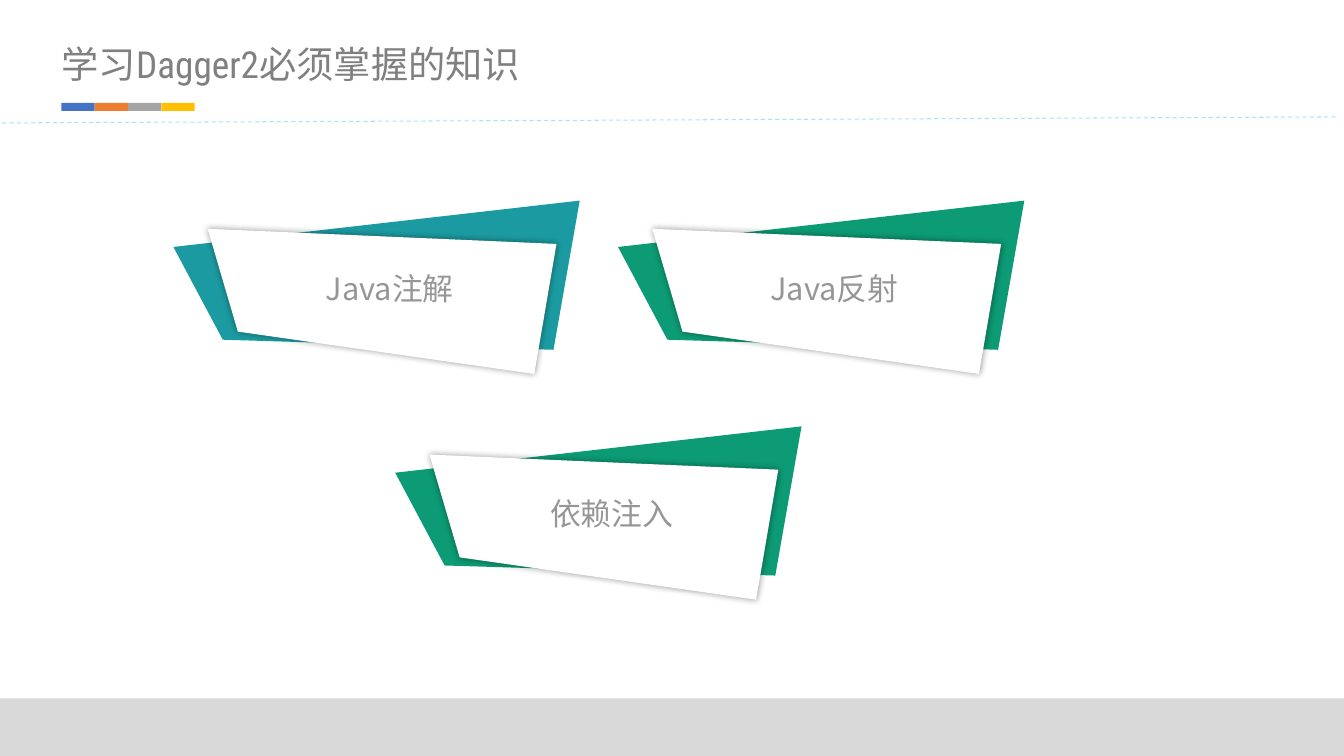
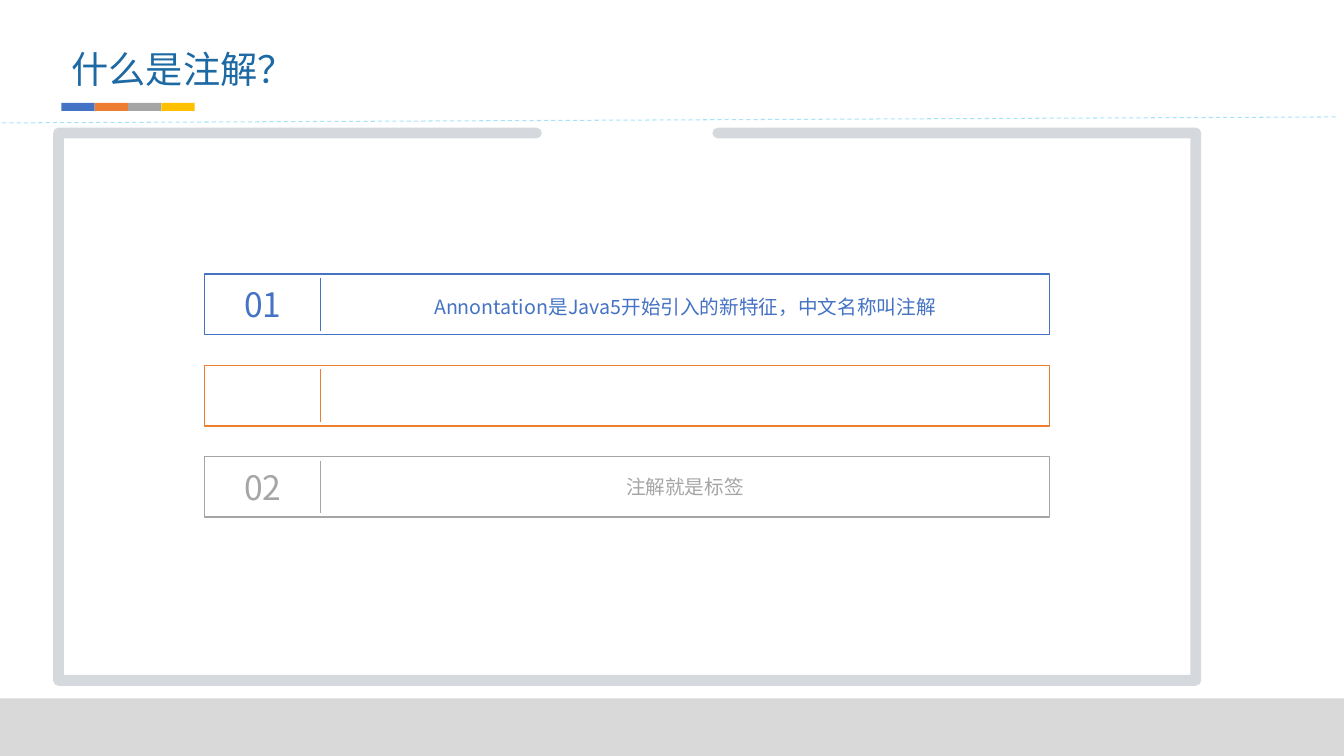
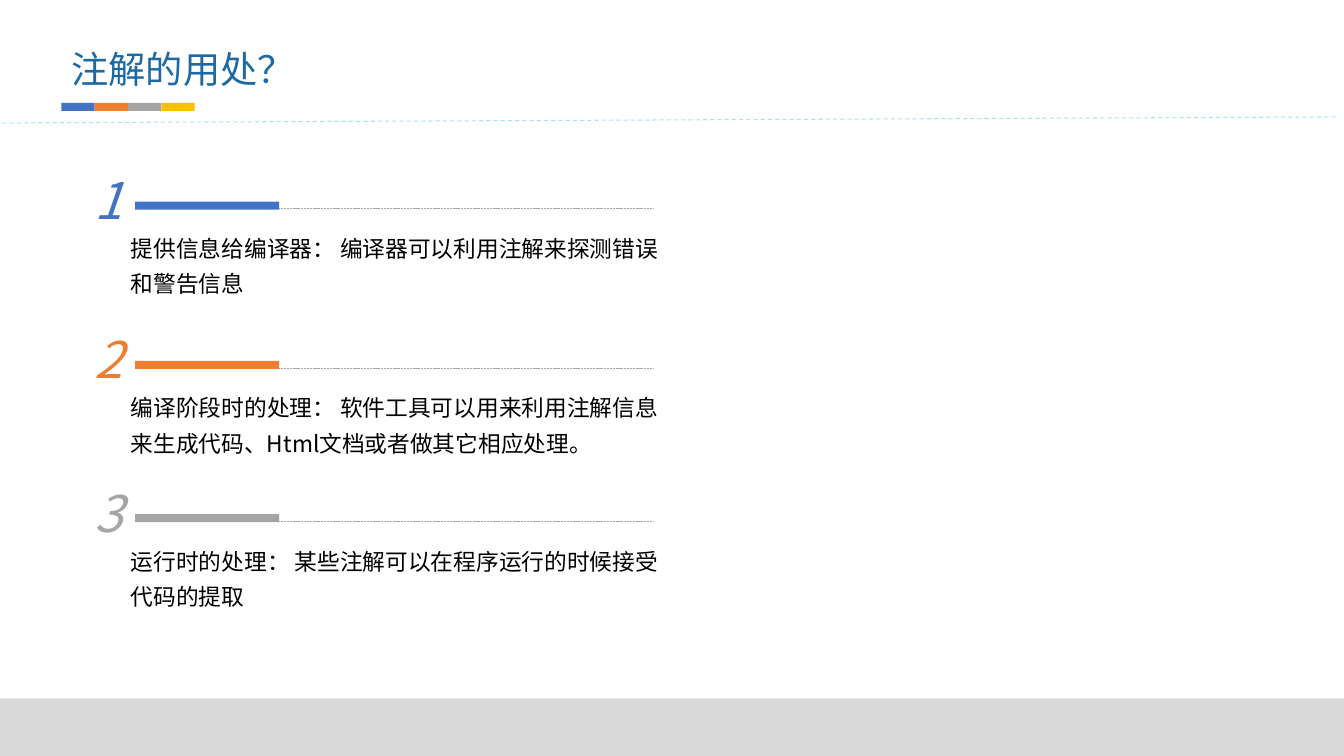
from dataclasses import dataclass

from pptx import Presentation
from pptx.dml.color import RGBColor
from pptx.enum.dml import MSO_LINE
from pptx.enum.shapes import MSO_CONNECTOR, MSO_SHAPE
from pptx.enum.text import MSO_ANCHOR, MSO_AUTO_SIZE, PP_ALIGN
from pptx.oxml.ns import qn
from pptx.util import Inches, Pt
from lxml import etree

STRAIGHT = MSO_CONNECTOR.STRAIGHT
RECTANGLE = MSO_SHAPE.RECTANGLE
DASH = MSO_LINE.DASH
FINE_DASH = MSO_LINE.SQUARE_DOT
MIDDLE = MSO_ANCHOR.MIDDLE
TOP = MSO_ANCHOR.TOP
CENTER = PP_ALIGN.CENTER
LEFT = PP_ALIGN.LEFT
GROW = MSO_AUTO_SIZE.SHAPE_TO_FIT_TEXT

CJK_FONT = "Noto Sans CJK SC"
TITLE_FONT = "Roboto Condensed"
BLUE, ORANGE, GRAY, YELLOW = "4472C4", "ED7D31", "A5A5A5", "FFC000"
TEAL, GREEN, WHITE, BLACK = "1B9BA1", "0C9B74", "FFFFFF", "000000"
FOOTER_GRAY, TITLE_GRAY, TITLE_BLUE = "D9D9D9", "808080", "1D69A3"
LABEL_GRAY, RULE_BLUE, FRAME_SLATE, DOT_GRAY = "7C7C7C", "00B0F0", "44546A", "A6A6A6"

BACK_OUTLINE = [(0, 0.46), (0.49, 1.38), (3.77, 1.48), (4.03, 0)]
FRONT_OUTLINE = [(0.34, 0.28), (0.64, 1.3), (3.58, 1.72), (3.8, 0.43)]
FRAME_OUTLINE = [(7.12, 1.32), (11.86, 1.32), (11.86, 6.75),
                 (0.58, 6.75), (0.58, 1.32), (5.32, 1.32)]


@dataclass
class Style:
    """Type settings of one text box."""
    size: float
    color: str
    font: str = CJK_FONT
    align: PP_ALIGN = LEFT
    anchor: MSO_ANCHOR = TOP
    spacing: float | None = None
    italic: bool = False
    opacity: int = 100
    wrap: bool = True
    grow: bool = False
    inset: bool = True


@dataclass
class Banner:
    """A slanted label with a coloured backing."""
    text: str
    left: float
    top: float
    color: str


@dataclass
class Row:
    """A framed line of a numbered list."""
    number: str
    text: str
    color: str
    spacing: float | None = None


@dataclass
class Use:
    """A numbered purpose with its place and colour."""
    number: str
    text: str
    top: float
    color: str


def rgb(color: str) -> RGBColor:
    """Turn a hex string into a colour."""
    return RGBColor.from_string(color)


def set_opacity(element, percent: int) -> None:
    """Make every colour below the element partly transparent."""
    if percent < 100:
        for color in element.iter(qn("a:srgbClr")):
            etree.SubElement(color, qn("a:alpha"), val=str(percent * 1000))


def add_box(slide, left: float, top: float, width: float, height: float,
            fill: str | None = None, outline: str | None = None) -> None:
    """Draw a filled or outlined rectangle."""
    box = slide.shapes.add_shape(RECTANGLE, Inches(left), Inches(top),
                                 Inches(width), Inches(height))
    box.shadow.inherit = False
    if fill:
        box.fill.solid()
        box.fill.fore_color.rgb = rgb(fill)
    else:
        box.fill.background()
    if outline:
        box.line.color.rgb = rgb(outline)
        box.line.width = Pt(1)
    else:
        box.line.fill.background()


def add_rule(slide, start: tuple[float, float], end: tuple[float, float], color: str,
             width: float, dash: MSO_LINE | None = None, opacity: int = 100) -> None:
    """Draw a straight line."""
    rule = slide.shapes.add_connector(STRAIGHT, Inches(start[0]), Inches(start[1]),
                                      Inches(end[0]), Inches(end[1]))
    rule.line.color.rgb = rgb(color)
    rule.line.width = Pt(width)
    if dash:
        rule.line.dash_style = dash
    properties = rule._element.spPr
    set_opacity(properties, opacity)
    etree.SubElement(properties, qn("a:effectLst"))


def add_text(slide, text: str, left: float, top: float, width: float, height: float,
             style: Style) -> None:
    """Place one paragraph of text."""
    frame = slide.shapes.add_textbox(Inches(left), Inches(top),
                                     Inches(width), Inches(height)).text_frame
    frame.word_wrap = style.wrap
    frame.vertical_anchor = style.anchor
    if style.grow:
        frame.auto_size = GROW
    if not style.inset:
        frame.margin_left = frame.margin_right = 0
        frame.margin_top = frame.margin_bottom = 0
    paragraph = frame.paragraphs[0]
    paragraph.text = text
    paragraph.alignment = style.align
    if style.spacing:
        paragraph.line_spacing = style.spacing
    font = paragraph.font
    font.size = Pt(style.size)
    font.name = style.font
    font.italic = style.italic
    font.color.rgb = rgb(style.color)
    defaults = paragraph._p.pPr.find(qn("a:defRPr"))
    etree.SubElement(defaults, qn("a:ea"), typeface=CJK_FONT)
    set_opacity(defaults, style.opacity)


def add_outline(slide, points: list[tuple[float, float]], left: float = 0,
                top: float = 0, close: bool = True):
    """Build a polygon or open path from points in inches."""
    corners = [(Inches(left + x), Inches(top + y)) for x, y in points]
    builder = slide.shapes.build_freeform(*corners[0])
    builder.add_line_segments(corners[1:], close=close)
    outline = builder.convert_to_shape()
    outline.shadow.inherit = False
    return outline


def add_panel(slide, points: list[tuple[float, float]], left: float, top: float,
              color: str):
    """Draw a filled polygon."""
    panel = add_outline(slide, points, left, top)
    panel.fill.solid()
    panel.fill.fore_color.rgb = rgb(color)
    panel.line.fill.background()
    return panel


def add_banner(slide, banner: Banner) -> None:
    """Draw a slanted label with a soft shadow on its backing."""
    add_panel(slide, BACK_OUTLINE, banner.left, banner.top, banner.color)
    front = add_panel(slide, FRONT_OUTLINE, banner.left, banner.top, WHITE)
    effects = front._element.spPr.find(qn("a:effectLst"))
    shadow = etree.SubElement(effects, qn("a:outerShdw"), blurRad=str(Pt(5)),
                              dist="0", dir="0", algn="ctr", rotWithShape="0")
    etree.SubElement(shadow, qn("a:srgbClr"), val=BLACK)
    set_opacity(shadow, 40)
    add_text(slide, banner.text, banner.left + 0.65, banner.top + 0.4, 2.99, 0.93,
             Style(22, LABEL_GRAY, align=CENTER, anchor=MIDDLE, opacity=80))


def add_frame(slide) -> None:
    """Draw the thick frame that is open at the top."""
    frame = add_outline(slide, FRAME_OUTLINE, close=False)
    frame.fill.background()
    frame.line.color.rgb = rgb(FRAME_SLATE)
    frame.line.width = Pt(7.75)
    line = frame._element.spPr.find(qn("a:ln"))
    line.set("cap", "rnd")
    etree.SubElement(line, qn("a:round"))
    set_opacity(line, 21)


def add_row(slide, row: Row, top: float) -> None:
    """Draw one framed row with its number and text."""
    left, divider, right, height = 2.03, 3.18, 10.41, 0.6
    add_box(slide, left, top, right - left, height, outline=row.color)
    add_rule(slide, (divider, top + 0.04), (divider, top + height - 0.04), row.color, 1)
    if row.text:
        add_text(slide, row.number, left, top, divider - left, height,
                 Style(24, row.color, align=CENTER, anchor=MIDDLE, wrap=False))
        add_text(slide, row.text, divider, top, right - divider, height,
                 Style(14, row.color, align=CENTER, anchor=MIDDLE, spacing=row.spacing))


def add_use(slide, use: Use) -> None:
    """Draw one numbered purpose under its bar."""
    line_y = use.top + 0.62
    add_rule(slide, (2.76, line_y), (6.48, line_y), DOT_GRAY, 0.5, FINE_DASH)
    add_box(slide, 1.34, use.top + 0.55, 1.43, 0.08, fill=use.color)
    add_text(slide, use.text, 1.2, use.top + 0.75, 5.5, 0.88,
             Style(16.2, BLACK, spacing=1.3))
    add_text(slide, use.number, 0.84, use.top, 0.56, 0.91,
             Style(36, use.color, spacing=1.3, italic=True))


def add_page(deck, title: str, width: float, height: float, style: Style):
    """Start a slide with the footer, colour strip, rule and title."""
    slide = deck.slides.add_slide(deck.slide_layouts[6])
    add_box(slide, 0, 6.93, 13.33, 0.57, fill=FOOTER_GRAY)
    for index, color in enumerate((BLUE, ORANGE, GRAY, YELLOW)):
        add_box(slide, 0.61 + index * 0.33, 1.02, 0.33, 0.08, fill=color)
    add_rule(slide, (-0.05, 1.22), (13.28, 1.16), RULE_BLUE, 0.75, DASH, 34)
    add_text(slide, title, 0.61, 0.41, width, height, style)
    return slide


def main() -> None:
    """Build and save the deck."""
    deck = Presentation()
    deck.slide_width, deck.slide_height = Inches(13.33), Inches(7.5)
    question = Style(26.6, TITLE_BLUE, grow=True)

    topics = add_page(deck, "学习Dagger2必须掌握的知识", 5.89, 0.45,
                      Style(26.6, TITLE_GRAY, TITLE_FONT, grow=True, inset=False))
    for banner in (Banner("Java注解", 1.72, 1.99, TEAL),
                   Banner("Java反射", 6.13, 1.99, GREEN),
                   Banner("依赖注入", 3.92, 4.23, GREEN)):
        add_banner(topics, banner)

    definition = add_page(deck, "什么是注解？", 2.78, 0.55, question)
    add_frame(definition)
    rows = (Row("01", "Annontation是Java5开始引入的新特征，中文名称叫注解", BLUE, 1.2),
            Row("", "", ORANGE),
            Row("02", "注解就是标签", GRAY))
    for index, row in enumerate(rows):
        add_row(definition, row, 2.72 + index * 0.905)

    purposes = add_page(deck, "注解的用处？", 2.78, 0.55, question)
    for use in (
        Use("1", "提供信息给编译器： 编译器可以利用注解来探测错误和警告信息", 1.45, BLUE),
        Use("2", "编译阶段时的处理： 软件工具可以用来利用注解信息来生成代码、"
                 "Html文档或者做其它相应处理。", 3.03, ORANGE),
        Use("3", "运行时的处理： 某些注解可以在程序运行的时候接受代码的提取", 4.55, GRAY),
    ):
        add_use(purposes, use)

    deck.save("out.pptx")


if __name__ == "__main__":
    main()
